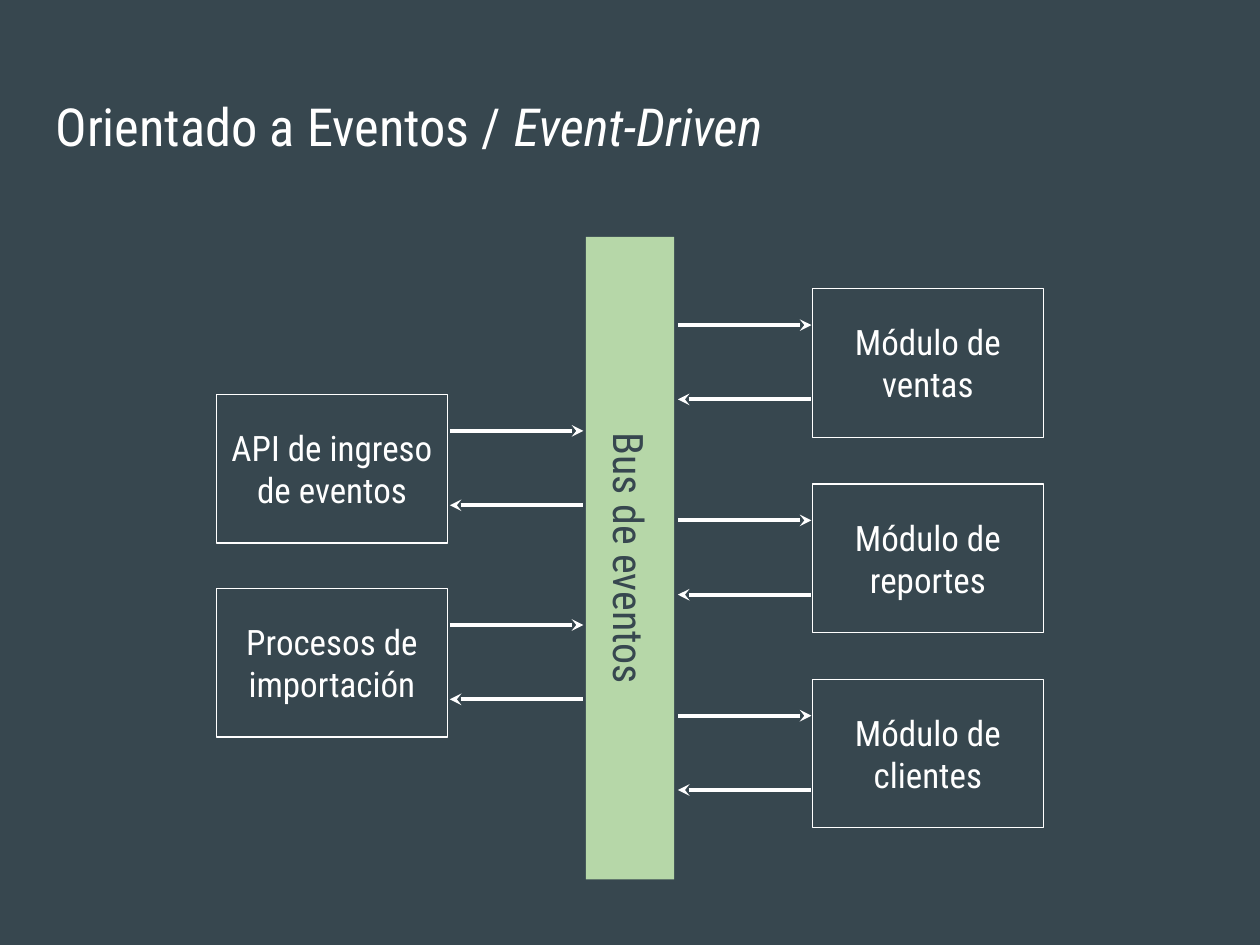
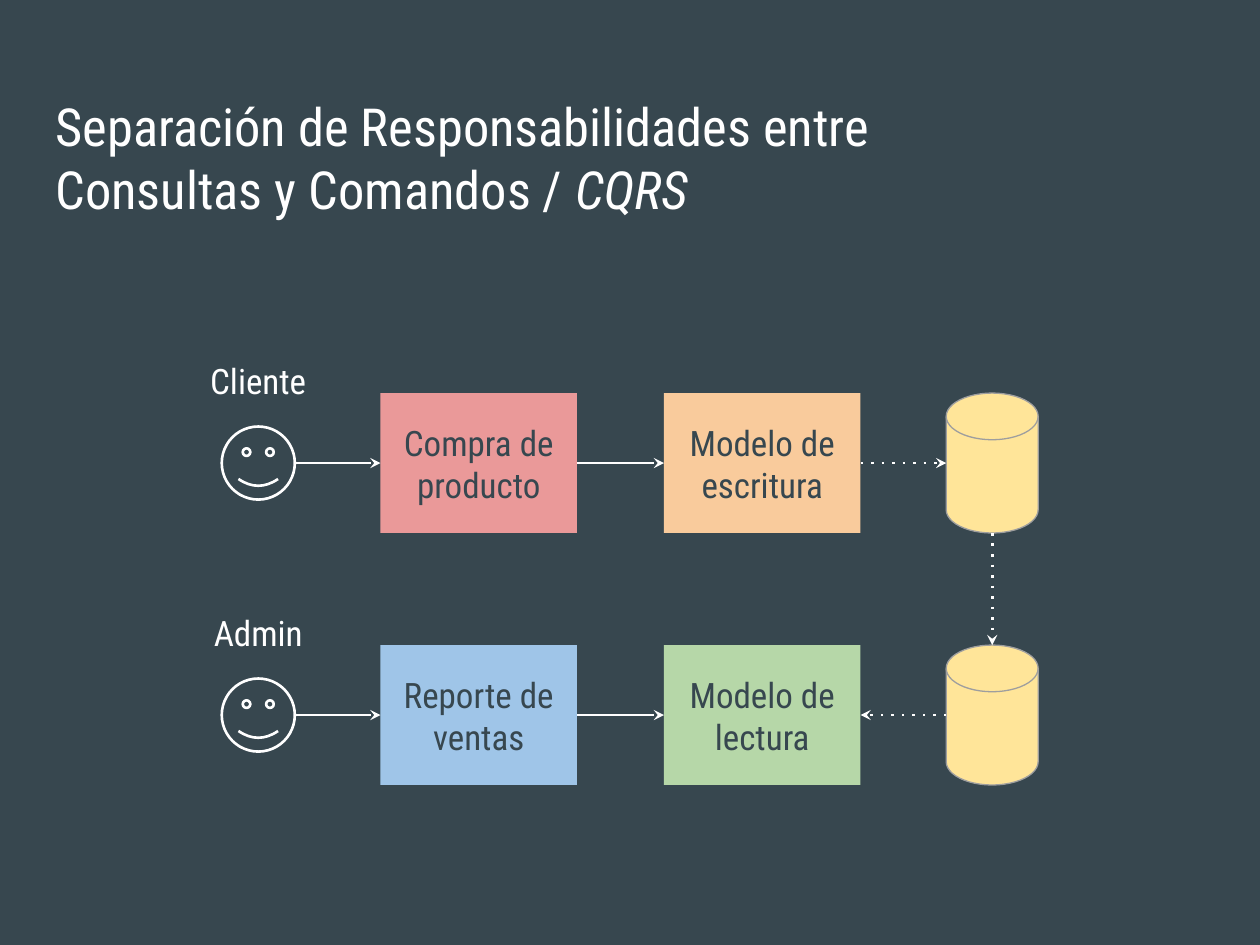
from lxml.etree import SubElement
from pptx import Presentation
from pptx.dml.color import RGBColor
from pptx.enum.shapes import MSO_CONNECTOR, MSO_SHAPE
from pptx.enum.text import MSO_ANCHOR, MSO_AUTO_SIZE, PP_ALIGN
from pptx.oxml.ns import qn
from pptx.util import Pt

# Content: a title is a list of lines, a line a list of (text, italic)
EVENT_TITLE = [[("Orientado a Eventos / ", False), ("Event-Driven", True)]]
BUS = "Bus de eventos"
SIDES = [  # box left, first top, step, arrow start, arrow end, ends, labels
    (172, 313, 154, 357, 463, ("tailEnd", "headEnd"),
     ["API de ingreso de eventos", "Procesos de importación"]),
    (645, 229, 155, 538, 644, ("tailEnd", "headEnd"),
     ["Módulo de ventas", "Módulo de reportes", "Módulo de clientes"]),
]
CQRS_TITLE = [
    [("Separación de Responsabilidades entre", False)],
    [("Consultas y Comandos / ", False), ("CQRS", True)],
]
ROWS = [  # user, (step, fill), (model, fill), model writes to store
    ("Cliente", ("Compra de producto", "red"), ("Modelo de escritura", "peach"), True),
    ("Admin", ("Reporte de ventas", "blue"), ("Modelo de lectura", "green"), False),
]

# Theme
THEME = {
    "font": "Roboto Condensed",
    "color": {"back": "37474F", "white": "FFFFFF", "gray": "9E9E9E", "green": "B6D7A8",
              "red": "EA9999", "peach": "F9CB9C", "blue": "9FC5E8", "sand": "FFE599"},
    "size": {"title": 30, "bus": 24, "text": 20},
    "width": {"thin": 0.75, "mid": 1.5, "bold": 2.25},
}

# Places, in px of 1/100 inch
PX = 9144
PAGE = (1000, 750)
TITLE_AT = (34, 65, 932, 83)
BUS_AT = (245, 408, 510, 70)
CARD = (183, 118)
ARROWS = (29, 88)
TOP, STEP = 312, 200
BOX = (156, 111)
STEP_X, MODEL_X = 302, 527
DISK_X, DISK_W = 751, 73
FACE_X, FACE_D = 176, 58
LABEL_UP, LABEL_H = 47, 64
INSET = 10


def px(*nums):
    return [round(n * PX) for n in nums]


def hue(name):
    return RGBColor.from_string(THEME["color"][name])


def put(obj, form):
    for key, val in form.items():
        setattr(obj, key, val)


def write(frame, lines, size="text", color="white",
          align=PP_ALIGN.CENTER, anchor=MSO_ANCHOR.MIDDLE):
    pad = px(INSET)[0]
    put(frame, {"word_wrap": True, "auto_size": MSO_AUTO_SIZE.NONE,
                "vertical_anchor": anchor, "margin_left": pad, "margin_right": pad,
                "margin_top": pad, "margin_bottom": pad})
    for i, line in enumerate(lines):
        para = frame.add_paragraph() if i else frame.paragraphs[0]
        para.alignment = align
        for text, slant in line:
            run = para.add_run()
            run.text = text
            put(run.font, {"name": THEME["font"], "size": Pt(THEME["size"][size]),
                           "italic": slant or None})
            run.font.color.rgb = hue(color)


def draw(slide, kind, at, fill=None, line=None, width="thin"):
    shape = slide.shapes.add_shape(kind, *px(*at))
    shape.shadow.inherit = False
    for part, color in ((shape.fill, fill), (shape.line.fill, line)):
        if color:
            part.solid()
            part.fore_color.rgb = hue(color)
        else:
            part.background()
    if line:
        shape.line.width = Pt(THEME["width"][width])
    return shape


def box(slide, at, text, color="white", size="text", **look):
    shape = draw(slide, MSO_SHAPE.RECTANGLE, at, **look)
    write(shape.text_frame, [[(text, False)]], size, color)
    return shape


def link(slide, ends, width="mid", tip="tailEnd", dots=False, start=None, stop=None):
    wire = slide.shapes.add_connector(MSO_CONNECTOR.STRAIGHT, *px(*ends))
    if start:
        wire.begin_connect(*start)
    if stop:
        wire.end_connect(*stop)
    wire.line.color.rgb = hue("white")
    wire.line.width = Pt(THEME["width"][width])
    props = wire.line._get_or_add_ln()
    if dots:
        SubElement(props, qn("a:prstDash"), val="dot")
    SubElement(props, qn(f"a:{tip}"), type="stealth")
    SubElement(wire._element.spPr, qn("a:effectLst"))


def page(deck, title):
    slide = deck.slides.add_slide(deck.slide_layouts[5])
    head = slide.shapes.title
    put(head, dict(zip(("left", "top", "width", "height"), px(*TITLE_AT))))
    write(head.text_frame, title, "title", align=PP_ALIGN.LEFT, anchor=MSO_ANCHOR.TOP)
    return slide


def events(deck):
    slide = page(deck, EVENT_TITLE)
    bus = box(slide, BUS_AT, BUS, "back", "bus", fill="green")
    bus.rotation = 90
    for left, first, step, x1, x2, tips, names in SIDES:
        for i, name in enumerate(names):
            top = first + i * step
            box(slide, (left, top, *CARD), name, line="white")
            for drop, tip in zip(ARROWS, tips):
                link(slide, (x1, top + drop, x2, top + drop), "bold", tip)


def cqrs(deck):
    slide = page(deck, CQRS_TITLE)
    wide, high = BOX
    for i, (user, (act, tint), (model, tone), writes) in enumerate(ROWS):
        top = TOP + i * STEP
        mid = top + high / 2

        # User
        face = draw(slide, MSO_SHAPE.SMILEY_FACE,
                    (FACE_X, mid - FACE_D / 2, FACE_D, FACE_D), line="white", width="mid")
        face.adjustments[0] = 0.047
        label = slide.shapes.add_textbox(
            *px(FACE_X + (FACE_D - wide) / 2, top - LABEL_UP, wide, LABEL_H))
        write(label.text_frame, [[(user, False)]], anchor=MSO_ANCHOR.BOTTOM)

        # Step, model and store
        left = box(slide, (STEP_X, top, *BOX), act, "back", fill=tint)
        right = box(slide, (MODEL_X, top, *BOX), model, "back", fill=tone)
        draw(slide, MSO_SHAPE.FLOWCHART_MAGNETIC_DISK, (DISK_X, top, DISK_W, high),
             fill="sand", line="gray")

        # Arrows along the row
        link(slide, (FACE_X + FACE_D, mid, STEP_X, mid), stop=(left, 1))
        link(slide, (STEP_X + wide, mid, MODEL_X, mid), start=(left, 3), stop=(right, 1))
        edge = MODEL_X + wide
        if writes:
            link(slide, (edge, mid, DISK_X, mid), dots=True, start=(right, 3))
        else:
            link(slide, (DISK_X, mid, edge, mid), dots=True, stop=(right, 3))

    # Store to store
    x = DISK_X + DISK_W / 2
    link(slide, (x, TOP + high, x, TOP + STEP), dots=True)


def main():
    deck = Presentation()
    put(deck, dict(zip(("slide_width", "slide_height"), px(*PAGE))))
    back = deck.slide_master.background.fill
    back.solid()
    back.fore_color.rgb = hue("back")
    events(deck)
    cqrs(deck)
    deck.save("out.pptx")


if __name__ == "__main__":
    main()
